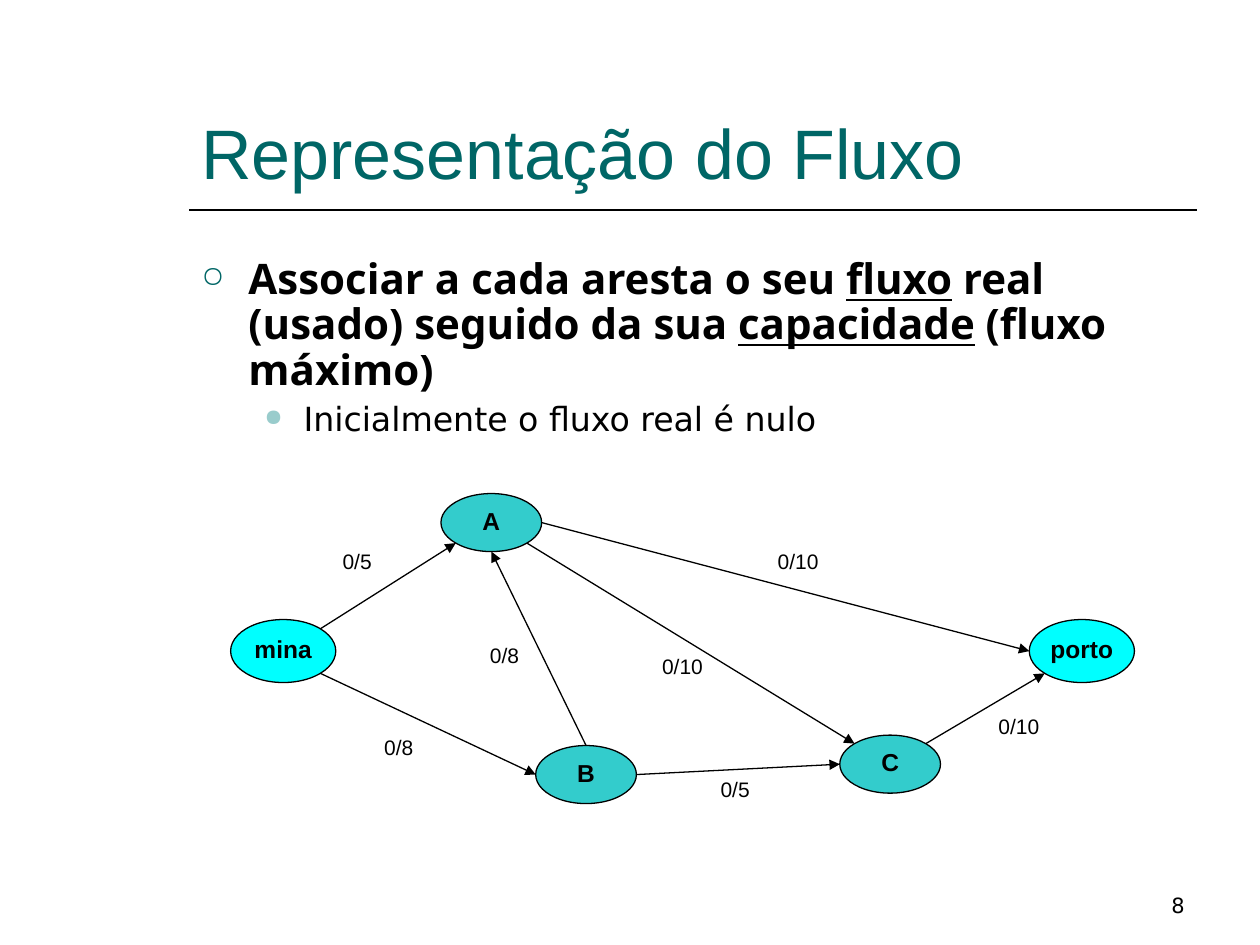
from math import cos, radians, sin

from pptx import Presentation
from pptx.dml.color import RGBColor
from pptx.enum.shapes import MSO_CONNECTOR, MSO_SHAPE
from pptx.enum.text import MSO_ANCHOR, PP_ALIGN
from pptx.oxml.ns import qn
from pptx.util import Cm, Pt
from lxml.etree import SubElement

BLACK, TEAL, PALE_TEAL = "000000", "006666", "99CCCC"
CYAN, TURQUOISE = "00FFFF", "33CCCC"

TITLE = "Representação do Fluxo"
# Runs are (text, underlined)
MAIN_POINT = [
    ("Associar a cada aresta o seu ", False),
    ("fluxo", True),
    (" real (usado) seguido da sua ", False),
    ("capacidade", True),
    (" (fluxo máximo)", False),
]
SUB_POINT = "Inicialmente o fluxo real é nulo"
PAGE_NUMBER = "8"

# Lengths in cm: left, top, width, height
END_SIZE, INNER_SIZE, FLOW_SIZE = (2.12, 1.27), (2.03, 1.17), (1.7, 0.71)
NODES = {
    "mina": (4.65, 12.49, *END_SIZE, CYAN),
    "porto": (20.75, 12.49, *END_SIZE, CYAN),
    "A": (8.89, 9.95, *INNER_SIZE, TURQUOISE),
    "B": (10.8, 15.03, *INNER_SIZE, TURQUOISE),
    "C": (16.93, 14.82, *INNER_SIZE, TURQUOISE),
}
# Angles are clockwise from the right end of the ellipse
RIGHT, LOWER_RIGHT, BOTTOM, LOWER_LEFT = 0, 45, 90, 135
LEFT, UPPER_LEFT, TOP, UPPER_RIGHT = 180, 225, 270, 315
# From, its angle, to, its angle, flow/capacity, left and top of that text
EDGES = [
    ("mina", LOWER_RIGHT, "B", LEFT, "0/8", 7.19, 14.76),
    ("B", TOP, "A", BOTTOM, "0/8", 9.32, 12.9),
    ("mina", UPPER_RIGHT, "A", LOWER_LEFT, "0/5", 6.35, 11),
    ("B", RIGHT, "C", LEFT, "0/5", 13.97, 15.6),
    ("C", UPPER_RIGHT, "porto", LOWER_LEFT, "0/10", 19.69, 14.33),
    ("A", LOWER_RIGHT, "C", UPPER_LEFT, "0/10", 12.91, 13.12),
    ("A", RIGHT, "porto", LEFT, "0/10", 15.24, 11),
]


def color(value):
    return RGBColor.from_string(value)


def write(paragraph, text, size, font="Arial", fill=BLACK, bold=False,
          underline=False, align=None, spacing=None, before=None):
    run = paragraph.add_run()
    run.text = text
    run.font.name, run.font.size = font, Pt(size)
    run.font.bold, run.font.underline = bold, underline
    run.font.color.rgb = color(fill)
    if align is not None:
        paragraph.alignment = align
    if spacing is not None:
        paragraph.line_spacing = spacing
    if before is not None:
        paragraph.space_before = Pt(before)


def add_frame(slide, left, top, width, height, anchor=MSO_ANCHOR.TOP):
    box = slide.shapes.add_textbox(Cm(left), Cm(top), Cm(width), Cm(height))
    frame = box.text_frame
    frame.word_wrap, frame.vertical_anchor = True, anchor
    return frame


def set_bullet(paragraph, symbol, fill, margin, hanging):
    properties = paragraph._p.get_or_add_pPr()
    properties.set("marL", str(Cm(margin)))
    properties.set("indent", str(-Cm(hanging)))
    bullet_color = SubElement(properties, qn("a:buClr"))
    SubElement(bullet_color, qn("a:srgbClr"), val=fill)
    SubElement(properties, qn("a:buSzPct"), val="70000")
    SubElement(properties, qn("a:buChar"), char=symbol)


def add_line(slide, start, end, width, arrow=False):
    line = slide.shapes.add_connector(
        MSO_CONNECTOR.STRAIGHT, *(Cm(value) for value in (*start, *end)))
    line.line.color.rgb = color(BLACK)
    line.line.width = Pt(width)
    if arrow:
        SubElement(line.line._get_or_add_ln(), qn("a:tailEnd"), type="triangle")
    SubElement(line._element.spPr, qn("a:effectLst"))


def add_node(slide, name):
    left, top, width, height, fill = NODES[name]
    node = slide.shapes.add_shape(
        MSO_SHAPE.OVAL, Cm(left), Cm(top), Cm(width), Cm(height))
    node.shadow.inherit = False
    node.fill.solid()
    node.fill.fore_color.rgb = color(fill)
    node.line.color.rgb = color(BLACK)
    node.line.width = Pt(0.75)
    frame = node.text_frame
    frame.word_wrap, frame.vertical_anchor = False, MSO_ANCHOR.MIDDLE
    write(frame.paragraphs[0], name, 14, bold=True,
          align=PP_ALIGN.CENTER, spacing=0.87)


def rim_point(name, angle):
    left, top, width, height, _ = NODES[name]
    return (left + width / 2 * (1 + cos(radians(angle))),
            top + height / 2 * (1 + sin(radians(angle))))


def main():
    presentation = Presentation()
    presentation.slide_width, presentation.slide_height = Cm(25.4), Cm(19.05)
    slide = presentation.slides.add_slide(presentation.slide_layouts[6])

    add_line(slide, (3.81, 4.23), (24.13, 4.23), 1)
    title = add_frame(slide, 3.81, 0.85, 20.32, 3.17, MSO_ANCHOR.BOTTOM)
    write(title.paragraphs[0], TITLE, 40, fill=TEAL)

    body = add_frame(slide, 3.81, 5.08, 20.32, 4.23)
    main_point, sub_point = body.paragraphs[0], body.add_paragraph()
    for text, underlined in MAIN_POINT:
        write(main_point, text, 24, font="Noto Sans", bold=True,
              underline=underlined, spacing=0.9, before=6)
    set_bullet(main_point, "○", TEAL, 0.95, 0.95)
    sub_point.level = 1
    write(sub_point, SUB_POINT, 19, font="DejaVu Sans", spacing=0.9, before=4.8)
    set_bullet(sub_point, "●", PALE_TEAL, 2.06, 0.79)

    for name in NODES:
        add_node(slide, name)
    for source, source_angle, target, target_angle, flow, left, top in EDGES:
        add_line(slide, rim_point(source, source_angle),
                 rim_point(target, target_angle), 0.75, arrow=True)
        label = add_frame(slide, left, top, *FLOW_SIZE)
        write(label.paragraphs[0], flow, 12, align=PP_ALIGN.CENTER,
              spacing=0.87, before=7.5)

    footer = add_frame(slide, 18.2, 17.36, 5.93, 1.27, MSO_ANCHOR.BOTTOM)
    write(footer.paragraphs[0], PAGE_NUMBER, 12, font="DejaVu Sans",
          align=PP_ALIGN.RIGHT)
    presentation.save("out.pptx")


if __name__ == "__main__":
    main()
